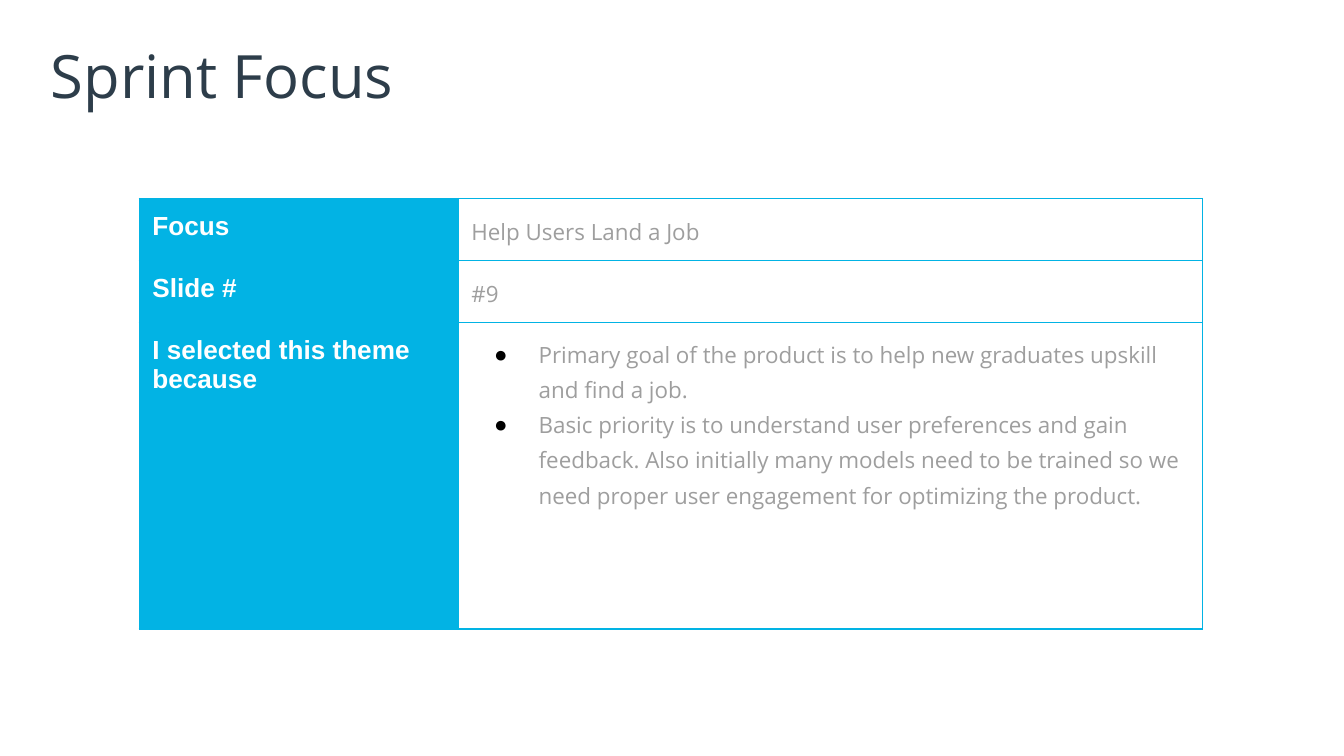
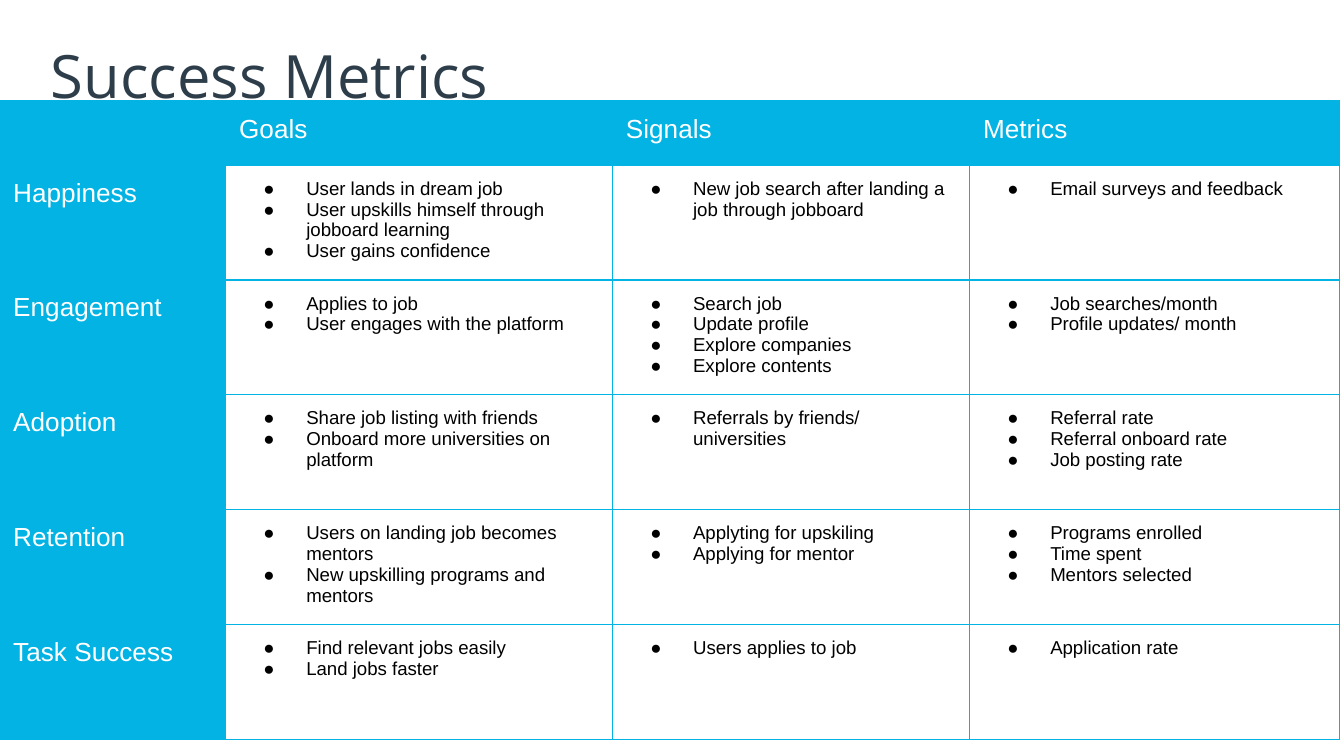
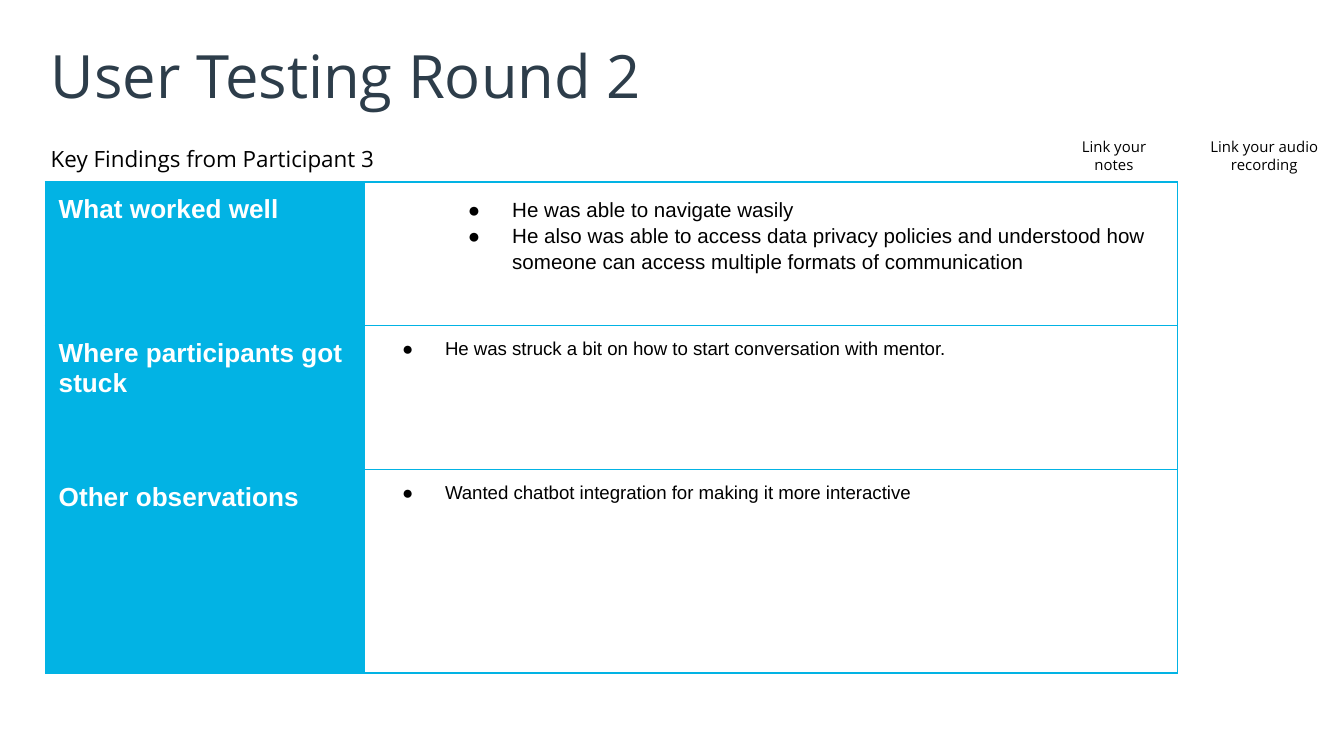
"""Build the three design-sprint slides: focus, metrics and test findings."""

from dataclasses import dataclass
from typing import Any

from lxml.etree import SubElement
from pptx import Presentation
from pptx.dml.color import RGBColor
from pptx.enum.text import MSO_ANCHOR, MSO_AUTO_SIZE, PP_ALIGN
from pptx.oxml import parse_xml
from pptx.oxml.ns import nsdecls, qn
from pptx.util import Cm, Length, Pt

CYAN = RGBColor(0x02, 0xB3, 0xE4)
SLATE = RGBColor(0x2D, 0x3D, 0x4A)
GREY = RGBColor(0x9E, 0x9E, 0x9E)
BLACK = RGBColor(0, 0, 0)
WHITE = RGBColor(0xFF, 0xFF, 0xFF)

BORDER_WIDTH = Pt(0.75)
CELL_INSET = Cm(0.25)
TEXT_INSET = Cm(0.1)
LEFT_EDGE = Cm(0.86)
FULL_WIDTH = Cm(23.67)
LABEL_WIDTH = Cm(6.03)


@dataclass(frozen=True)
class TextStyle:
    """Font, paragraph spacing and optional bullet of a text."""

    size: float
    color: RGBColor
    name: str = "Arial"
    bold: bool = False
    line_spacing: float = 1.0
    space_before: float = 0
    alignment: PP_ALIGN = PP_ALIGN.LEFT
    bullet_indent: Length | None = None
    bullet_hang: Length = Cm(0.81)


@dataclass(frozen=True)
class CellText:
    """Paragraphs of one table cell with their style and fill."""

    lines: tuple[str, ...]
    style: TextStyle
    fill: RGBColor | None = None


@dataclass(frozen=True)
class Grid:
    """Place, track sizes and cells of a table."""

    left: Length
    top: Length
    columns: list[Length]
    rows: list[Length]
    cells: list[list[CellText]]


@dataclass(frozen=True)
class Caption:
    """A free text box."""

    left: Length
    top: Length
    width: Length
    height: Length
    inset: Length
    lines: tuple[str, ...]
    style: TextStyle


TITLE = TextStyle(32, SLATE, "Open Sans")
LABEL = TextStyle(14, WHITE, bold=True)
HEADING = TextStyle(14, WHITE)
ANSWER = TextStyle(12, GREY, "Open Sans", line_spacing=1.15, space_before=7)
REASON = TextStyle(12, GREY, "Open Sans", line_spacing=1.15,
                   bullet_indent=Cm(1.27), bullet_hang=Cm(0.84))
POINT = TextStyle(10, BLACK, bullet_indent=Cm(1.27))
DEEP_POINT = TextStyle(11, BLACK, line_spacing=1.15,
                       bullet_indent=Cm(2.54), bullet_hang=Cm(0.84))
SUBTITLE = TextStyle(12, BLACK, "Open Sans", line_spacing=1.15, space_before=7)
LINK_NOTE = TextStyle(8, BLACK, "Open Sans", alignment=PP_ALIGN.CENTER)

FOCUS_ROWS = [
    ("Focus", ANSWER, ("Help Users Land a Job",)),
    ("Slide #", ANSWER, ("#9",)),
    ("I selected this theme because", REASON, (
        "Primary goal of the product is to help new graduates upskill and find a job.",
        "Basic priority is to understand user preferences and gain feedback. Also initially "
        "many models need to be trained so we need proper user engagement for optimizing "
        "the product.",
    )),
]

METRIC_HEADINGS = ("", "Goals", "Signals", "Metrics")
METRIC_ROWS = {
    "Happiness": (
        ("User lands in dream job", "User upskills himself through jobboard learning",
         "User gains confidence"),
        ("New job search after landing a job through jobboard",),
        ("Email surveys and feedback",),
    ),
    "Engagement": (
        ("Applies to job", "User engages with the platform"),
        ("Search job", "Update profile", "Explore companies", "Explore contents"),
        ("Job searches/month", "Profile updates/ month"),
    ),
    "Adoption": (
        ("Share job listing with friends", "Onboard more universities on platform"),
        ("Referrals by friends/ universities",),
        ("Referral rate", "Referral onboard rate", "Job posting rate"),
    ),
    "Retention": (
        ("Users on landing job becomes mentors", "New upskilling programs and mentors"),
        ("Applyting for upskiling", "Applying for mentor"),
        ("Programs enrolled", "Time spent", "Mentors selected"),
    ),
    "Task Success": (
        ("Find relevant jobs easily", "Land jobs faster"),
        ("Users applies to job",),
        ("Application rate",),
    ),
}

FINDING_ROWS = [
    ("What worked well", DEEP_POINT, (
        "He was able to navigate wasily",
        "He also was able to access data privacy policies and understood how someone can "
        "access multiple formats of communication",
    )),
    ("Where participants got stuck", POINT,
     ("He was struck a bit on how to start conversation with mentor.",)),
    ("Other observations", POINT,
     ("Wanted chatbot integration for making it more interactive",)),
]

FINDING_CAPTIONS = [
    Caption(Cm(22.5), Cm(2.36), Cm(2.79), Cm(1.22), CELL_INSET,
            ("Link your audio recording",), LINK_NOTE),
    Caption(Cm(19.66), Cm(2.36), Cm(2.79), Cm(1.22), CELL_INSET,
            ("Link your", "notes"), LINK_NOTE),
    Caption(LEFT_EDGE, Cm(2.57), FULL_WIDTH, Cm(0.86), TEXT_INSET,
            ("Key Findings from Participant 3",), SUBTITLE),
]


def apply_format(target: Any, values: dict[str, Any]) -> None:
    """Set each named attribute on the target."""
    for name, value in values.items():
        setattr(target, name, value)


def margins(inset: Length) -> dict[str, Length]:
    """Return equal margins for all four sides."""
    return {f"margin_{side}": inset for side in ("left", "right", "top", "bottom")}


def add_bullet(para: Any, style: TextStyle) -> None:
    """Give the paragraph a hanging black dot."""
    properties = para._p.get_or_add_pPr()
    properties.set("marL", str(style.bullet_indent))
    properties.set("indent", str(-style.bullet_hang))
    color = SubElement(properties, qn("a:buClr"))
    SubElement(color, qn("a:srgbClr"), val=str(BLACK))
    SubElement(properties, qn("a:buFont"), typeface="Arial")
    SubElement(properties, qn("a:buChar"), char="●")


def write_lines(frame: Any, lines: tuple[str, ...], style: TextStyle) -> None:
    """Write one styled paragraph per line."""
    for index, line in enumerate(lines):
        para = frame.add_paragraph() if index else frame.paragraphs[0]
        apply_format(para, {
            "alignment": style.alignment,
            "line_spacing": style.line_spacing,
            "space_before": Pt(style.space_before),
        })
        if style.bullet_indent is not None:
            add_bullet(para, style)
        span = para.add_run()
        span.text = line
        apply_format(span.font, {
            "name": style.name, "size": Pt(style.size), "bold": style.bold,
        })
        span.font.color.rgb = style.color


def add_borders(cell: Any) -> None:
    """Draw a thin cyan line on every side of the cell."""
    properties = cell._tc.get_or_add_tcPr()
    for index, side in enumerate(("lnL", "lnR", "lnT", "lnB")):
        properties.insert(index, parse_xml(
            f'<a:{side} {nsdecls("a")} w="{BORDER_WIDTH}"><a:solidFill>'
            f'<a:srgbClr val="{CYAN}"/></a:solidFill></a:{side}>'
        ))


def add_grid(page: Any, grid: Grid) -> None:
    """Draw the table."""
    table = page.shapes.add_table(
        len(grid.rows), len(grid.columns), grid.left, grid.top,
        sum(grid.columns), sum(grid.rows),
    ).table
    apply_format(table, {"first_row": False, "horz_banding": False})
    for column, width in zip(table.columns, grid.columns):
        column.width = width
    for row, height, texts in zip(table.rows, grid.rows, grid.cells):
        row.height = height
        for cell, text in zip(row.cells, texts):
            apply_format(cell, margins(CELL_INSET))
            if text.fill is None:
                cell.fill.background()
            else:
                cell.fill.solid()
                cell.fill.fore_color.rgb = text.fill
            add_borders(cell)
            write_lines(cell.text_frame, text.lines, text.style)


def add_caption(page: Any, caption: Caption) -> None:
    """Draw a wrapped text box."""
    box = page.shapes.add_textbox(caption.left, caption.top, caption.width, caption.height)
    apply_format(box.text_frame, {"word_wrap": True, **margins(caption.inset)})
    write_lines(box.text_frame, caption.lines, caption.style)


def add_page(deck: Any, title: str, title_width: Length = FULL_WIDTH) -> Any:
    """Add a title-only slide with the shared title style."""
    page = deck.slides.add_slide(deck.slide_layouts.get_by_name("Title Only"))
    box = page.shapes.title
    apply_format(box, {
        "left": LEFT_EDGE, "top": Cm(0.61), "width": title_width, "height": Cm(1.6),
    })
    apply_format(box.text_frame, {
        "word_wrap": True, "auto_size": MSO_AUTO_SIZE.NONE,
        "vertical_anchor": MSO_ANCHOR.MIDDLE, **margins(TEXT_INSET),
    })
    write_lines(box.text_frame, (title,), TITLE)
    return page


def labelled_cells(
    rows: list[tuple[str, TextStyle, tuple[str, ...]]],
) -> list[list[CellText]]:
    """Pair each bold label with its answer."""
    return [
        [CellText((label,), LABEL, CYAN), CellText(lines, style)]
        for label, style, lines in rows
    ]


def metric_cells() -> list[list[CellText]]:
    """Return the heading row followed by the metric rows."""
    headings = [CellText((heading,), HEADING, CYAN) for heading in METRIC_HEADINGS]
    return [headings] + [
        [CellText((label,), HEADING, CYAN)] + [CellText(lines, POINT) for lines in groups]
        for label, groups in METRIC_ROWS.items()
    ]


def main() -> None:
    """Build and save the deck."""
    deck = Presentation()
    apply_format(deck, {"slide_width": Cm(25.4), "slide_height": Cm(14.29)})

    focus = add_page(deck, "Sprint Focus")
    add_grid(focus, Grid(
        Cm(2.63), Cm(3.75), [LABEL_WIDTH, Cm(14.07)],
        [Cm(1.17), Cm(1.17), Cm(5.8)], labelled_cells(FOCUS_ROWS),
    ))

    metrics = add_page(deck, "Success Metrics", Cm(8.51))
    add_grid(metrics, Grid(
        Cm(0), Cm(1.91), [Cm(4.27), Cm(7.31), Cm(6.75), Cm(6.99)],
        [Cm(1.21)] + [Cm(2.17)] * len(METRIC_ROWS), metric_cells(),
    ))

    findings = add_page(deck, "User Testing Round 2")
    for caption in FINDING_CAPTIONS:
        add_caption(findings, caption)
    add_grid(findings, Grid(
        LEFT_EDGE, Cm(3.44), [LABEL_WIDTH, Cm(15.36)],
        [Cm(2.72), Cm(2.72), Cm(3.84)], labelled_cells(FINDING_ROWS),
    ))

    deck.save("out.pptx")


if __name__ == "__main__":
    main()
